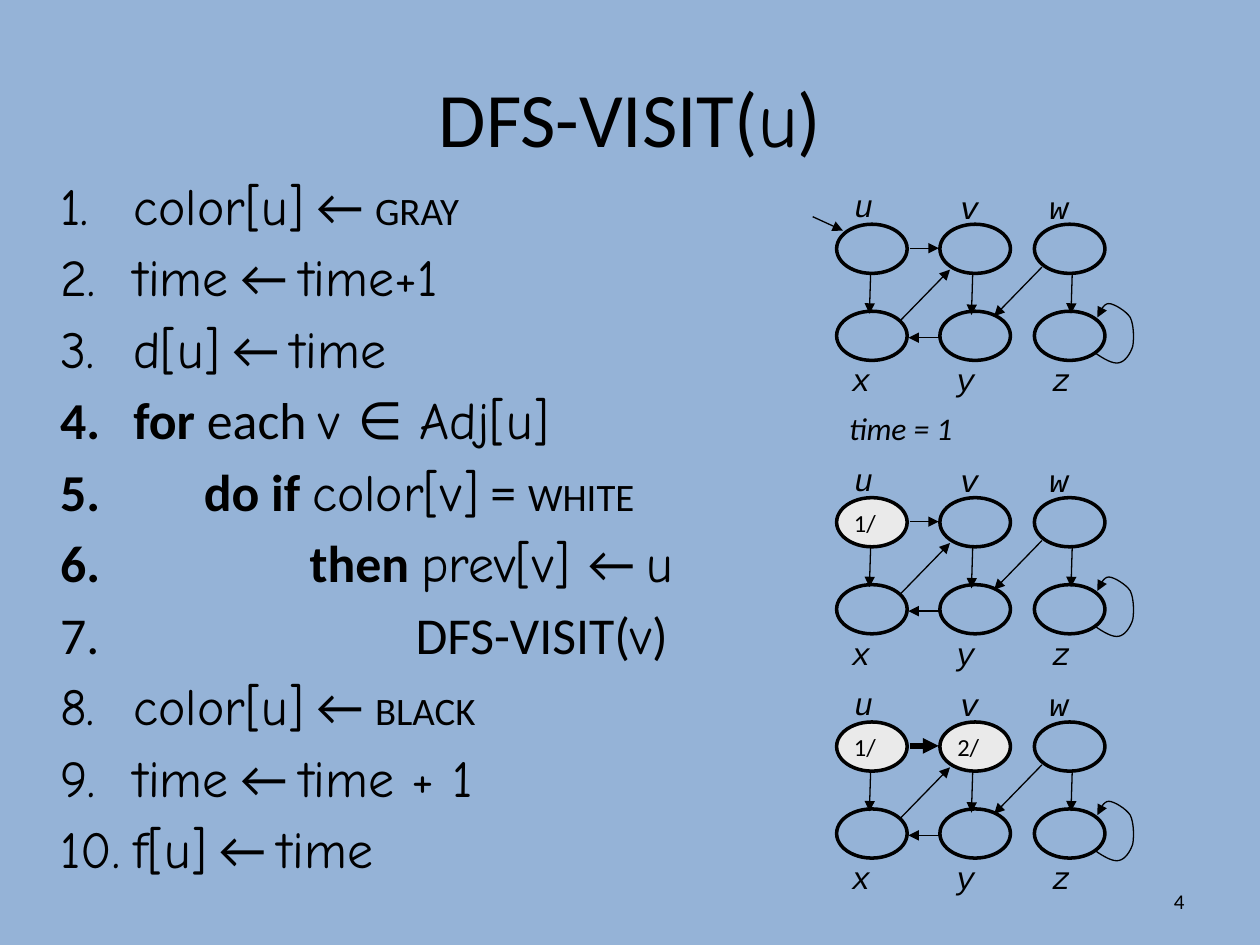
from lxml.etree import SubElement
from pptx import Presentation
from pptx.dml.color import RGBColor
from pptx.enum.shapes import MSO_CONNECTOR, MSO_SHAPE
from pptx.enum.text import MSO_ANCHOR, PP_ALIGN
from pptx.oxml.ns import qn
from pptx.util import Pt

PX = 9144
BLACK = RGBColor(0x00, 0x00, 0x00)
VISITED = RGBColor(0xEA, 0xEA, 0xEA)
BACKGROUND = RGBColor(0x95, 0xB3, 0xD7)
SANS, COMIC, MONO = "Calibri", "Comic Neue", "Courier New"
CODE_SIZE, KEYWORD_SIZE = 29.6, 22.2

ARROW = (" ← ", SANS)
CODE = [
    (58, [("color[u]", COMIC), ARROW, ("GRAY", SANS, KEYWORD_SIZE)]),
    (58, [("time", COMIC), ARROW, ("time+1", COMIC)]),
    (58, [("d[u]", COMIC), ARROW, ("time", COMIC)]),
    (58, [("for ", SANS, CODE_SIZE, True), ("each ", SANS), ("v ∈ Adj[u]", COMIC)]),
    (114, [("do if ", SANS, CODE_SIZE, True), ("color[v]", COMIC), (" = ", SANS),
           ("WHITE", SANS, KEYWORD_SIZE)]),
    (198, [("then ", SANS, CODE_SIZE, True), ("prev[v] ", COMIC), ("← ", SANS), ("u", COMIC)]),
    (282, [("DFS-VISIT(", SANS), ("v", COMIC), (")", SANS)]),
    (58, [("color[u]", COMIC), ARROW, ("BLACK", SANS, KEYWORD_SIZE)]),
    (58, [("time", COMIC), ARROW, ("time + 1", COMIC)]),
    (58, [("f[u]", COMIC), ARROW, ("time", COMIC)]),
]
NODES = {"u": (664, 0), "v": (746, 0), "w": (821, 0),
         "x": (664, 69), "y": (746, 69), "z": (821, 69)}
LABELS = {"u": (668, -35), "v": (752, -34), "w": (823, -34),
          "x": (666, 103), "y": (749, 103), "z": (825, 103)}
EDGES = {"ux": (691, 39, 690, 71), "vy": (772, 40, 771, 72), "wz": (851, 39, 850, 71),
         "uv": (722, 19, 745, 19), "yx": (745, 90, 721, 90),
         "wy": (827, 34, 789, 73), "xv": (715, 76, 754, 36)}
LOOP_START = (869, 102)
LOOP_CURVES = [
    ((876, 107), (883, 111), (888, 110)),
    ((893, 109), (897, 103), (899, 97)),
    ((900, 91), (900, 80), (897, 74)),
    ((894, 69), (884, 63), (880, 63)),
    ((876, 63), (873, 69), (871, 74)),
]
STEPS = 8


class Board:
    """Draw styled elements on the current slide or on one of its groups."""

    def __init__(self, presentation):
        self.slide = presentation.slides.add_slide(presentation.slide_layouts[5])
        self.slide.background.fill.solid()
        self.slide.background.fill.fore_color.rgb = BACKGROUND
        self.shapes = self.slide.shapes

    def style(self, font, name, size, bold=False, italic=False):
        font.name, font.size = name, Pt(size)
        font.bold, font.italic = bold, italic
        font.color.rgb = BLACK

    def runs(self, paragraph, parts, default_size):
        for text, name, *rest in parts:
            size, bold = (rest + [default_size, False][len(rest):])
            run = paragraph.add_run()
            run.text = text
            self.style(run.font, name, size, bold)

    def place(self, shape, left, top, width, height):
        shape.left, shape.top = left * PX, top * PX
        shape.width, shape.height = width * PX, height * PX

    def title(self, parts, *box):
        title = self.slide.shapes.title
        self.place(title, *box)
        title.text_frame.vertical_anchor = MSO_ANCHOR.MIDDLE
        paragraph = title.text_frame.paragraphs[0]
        paragraph.alignment = PP_ALIGN.CENTER
        self.runs(paragraph, parts, 44)

    def box(self, left, top, width, height, wrap=False):
        frame = self.shapes.add_textbox(left * PX, top * PX, width * PX, height * PX).text_frame
        frame.word_wrap = wrap
        return frame

    def text(self, text, *box, name=SANS, size=18, italic=True, align=PP_ALIGN.LEFT,
             anchor=MSO_ANCHOR.TOP):
        frame = self.box(*box)
        frame.vertical_anchor = anchor
        paragraph = frame.paragraphs[0]
        paragraph.text, paragraph.alignment = text, align
        self.style(paragraph.font, name, size, italic=italic)

    def code(self, lines, *box):
        frame = self.box(*box, wrap=True)
        for index, (indent, parts) in enumerate(lines):
            paragraph = frame.add_paragraph() if index else frame.paragraphs[0]
            paragraph.space_before = Pt(5.3)
            properties = paragraph._p.get_or_add_pPr()
            properties.set("marL", str(indent * PX))
            properties.set("indent", str(-indent * PX))
            SubElement(properties, qn("a:buFont"), typeface="+mj-lt")
            SubElement(properties, qn("a:buAutoNum"), type="arabicPeriod")
            self.style(paragraph.font, parts[0][1], CODE_SIZE, bold=indent > 58)
            self.runs(paragraph, parts, CODE_SIZE)

    def node(self, left, top, stamp=None):
        shape = self.shapes.add_shape(MSO_SHAPE.OVAL, left * PX, top * PX, 56 * PX, 39 * PX)
        shape.shadow.inherit = False
        shape.line.color.rgb, shape.line.width = BLACK, Pt(2)
        if not stamp:
            shape.fill.background()
            return
        shape.fill.solid()
        shape.fill.fore_color.rgb = VISITED
        frame = shape.text_frame
        frame.word_wrap = False
        frame.margin_left, frame.margin_right = 0, 11 * PX
        frame.vertical_anchor = MSO_ANCHOR.MIDDLE
        paragraph = frame.paragraphs[0]
        paragraph.text, paragraph.alignment = stamp, PP_ALIGN.CENTER
        self.style(paragraph.font, SANS, 14)

    def arrowhead(self, shape, width):
        shape.line.color.rgb, shape.line.width = BLACK, Pt(width)
        SubElement(shape.line._get_or_add_ln(), qn("a:tailEnd"), type="triangle")

    def arrow(self, x1, y1, x2, y2, width=0.75):
        connector = self.shapes.add_connector(
            MSO_CONNECTOR.STRAIGHT, x1 * PX, y1 * PX, x2 * PX, y2 * PX)
        self.arrowhead(connector, width)
        SubElement(connector._element.spPr, qn("a:effectLst"))

    def curve(self, start, curves, top):
        points, here = [], start
        for first, second, end in curves:
            for step in range(1, STEPS + 1):
                t = step / STEPS
                weights = ((1 - t) ** 3, 3 * t * (1 - t) ** 2, 3 * t * t * (1 - t), t ** 3)
                x, y = (sum(weight * value for weight, value in zip(weights, axis))
                        for axis in zip(here, first, second, end))
                points.append((x * PX, (y + top) * PX))
            here = end
        builder = self.shapes.build_freeform(start[0] * PX, (start[1] + top) * PX)
        builder.add_line_segments(points, close=False)
        shape = builder.convert_to_shape()
        shape.shadow.inherit = False
        shape.fill.background()
        self.arrowhead(shape, 0.75)

    def graph(self, top, stamps, bold_edge=None):
        self.shapes = self.slide.shapes.add_group_shape().shapes
        for name, (left, offset) in NODES.items():
            self.node(left, top + offset, stamps.get(name))
        for name, (left, offset) in LABELS.items():
            self.text(name, left, top + offset, 32, 40, name=MONO)
        for name, (x1, y1, x2, y2) in EDGES.items():
            self.arrow(x1, top + y1, x2, top + y2, 3 if name == bold_edge else 0.75)
        self.curve(LOOP_START, LOOP_CURVES, top)
        self.shapes = self.slide.shapes


def main():
    presentation = Presentation()
    presentation.slide_width, presentation.slide_height = 1000 * PX, 750 * PX
    board = Board(presentation)
    board.title([("DFS-VISIT(", SANS), ("u", COMIC), (")", SANS)], 50, 30, 900, 125)
    board.code(CODE, 38, 133, 900, 585)
    board.text("4", 717, 695, 233, 40, size=12, italic=False, align=PP_ALIGN.RIGHT,
               anchor=MSO_ANCHOR.MIDDLE)
    board.graph(178, {})
    board.arrow(645, 172, 669, 183)
    board.text("time = 1", 664, 320, 103, 40)
    board.graph(395, {"u": "1/"})
    board.graph(573, {"u": "1/", "v": "2/"}, bold_edge="uv")
    presentation.save("out.pptx")


if __name__ == "__main__":
    main()
